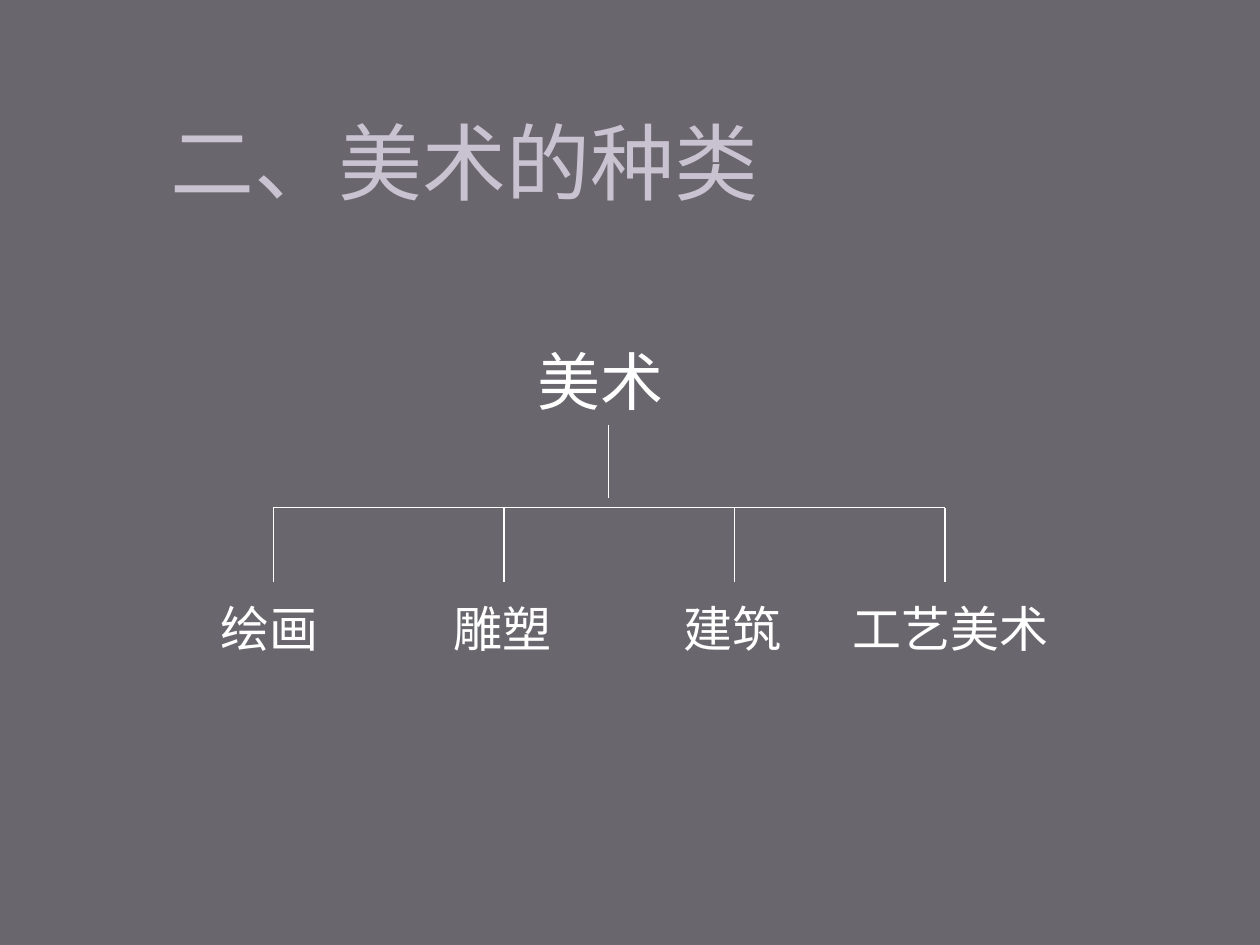
from typing import NamedTuple

from pptx import Presentation
from pptx.dml.color import RGBColor
from pptx.enum.shapes import MSO_CONNECTOR
from pptx.enum.text import MSO_ANCHOR, MSO_AUTO_SIZE, PP_ALIGN
from pptx.oxml.ns import qn
from pptx.util import Inches, Pt

LINE = MSO_CONNECTOR.STRAIGHT
TOP = MSO_ANCHOR.TOP
GROW = MSO_AUTO_SIZE.SHAPE_TO_FIT_TEXT
LEFT = PP_ALIGN.LEFT

GREY = "69676D"
LILAC = "C9C2D1"
WHITE = "FFFFFF"
FRAME = {"word_wrap": False, "auto_size": GROW, "vertical_anchor": TOP}


class Label(NamedTuple):
    text: str
    left: float
    top: float
    width: float
    height: float
    size: int
    color: str = WHITE


class Branch(NamedTuple):
    text: str
    stem: float
    left: float
    width: float = 0.98


TITLE = Label("二、美术的种类", 1.25, 0.83, 4.87, 0.9, 48, LILAC)
ROOT = Label("美术", 4.17, 2.67, 1.2, 0.7, 36)
KINDS = [
    Branch("绘画", 2.17, 1.65),
    Branch("雕塑", 4, 3.5),
    Branch("建筑", 5.83, 5.33),
    Branch("工艺美术", 7.5, 6.67, 1.76),
]
TRUNK = 4.83
BAR = 4.03
FOOT = 4.62


def paint(color: str) -> RGBColor:
    return RGBColor.from_string(color)


def set_all(target, values: dict) -> None:
    for name, value in values.items():
        setattr(target, name, value)


def write(shape, label: Label) -> None:
    place = {
        "left": Inches(label.left),
        "top": Inches(label.top),
        "width": Inches(label.width),
        "height": Inches(label.height),
    }
    set_all(shape, place)
    frame = shape.text_frame
    frame.text = label.text
    set_all(frame, FRAME)
    para = frame.paragraphs[0]
    para.alignment = LEFT
    font = para.runs[0].font
    set_all(font, {"name": "Cambria", "size": Pt(label.size)})
    font.color.rgb = paint(label.color)


def add_label(slide, label: Label) -> None:
    write(slide.shapes.add_textbox(0, 0, 0, 0), label)


def add_line(slide, x1: float, y1: float, x2: float, y2: float) -> None:
    ends = [Inches(v) for v in (x1, y1, x2, y2)]
    link = slide.shapes.add_connector(LINE, *ends)
    link.line.width = Pt(0.75)
    link.line.color.rgb = paint(WHITE)
    props = link._element.spPr
    props.append(props.makeelement(qn("a:effectLst"), {}))


def main() -> None:
    deck = Presentation()
    set_all(deck, {"slide_width": Inches(10), "slide_height": Inches(7.5)})
    slide = deck.slides.add_slide(deck.slide_layouts[5])
    fill = slide.background.fill
    fill.solid()
    fill.fore_color.rgb = paint(GREY)

    write(slide.shapes.title, TITLE)
    add_label(slide, ROOT)
    add_line(slide, TRUNK, 3.37, TRUNK, 3.95)
    add_line(slide, KINDS[0].stem, BAR, KINDS[-1].stem, BAR)
    for kind in KINDS:
        add_line(slide, kind.stem, BAR, kind.stem, FOOT)
        add_label(slide, Label(kind.text, kind.left, 4.7, kind.width, 0.57, 28))
    deck.save("out.pptx")


if __name__ == "__main__":
    main()
